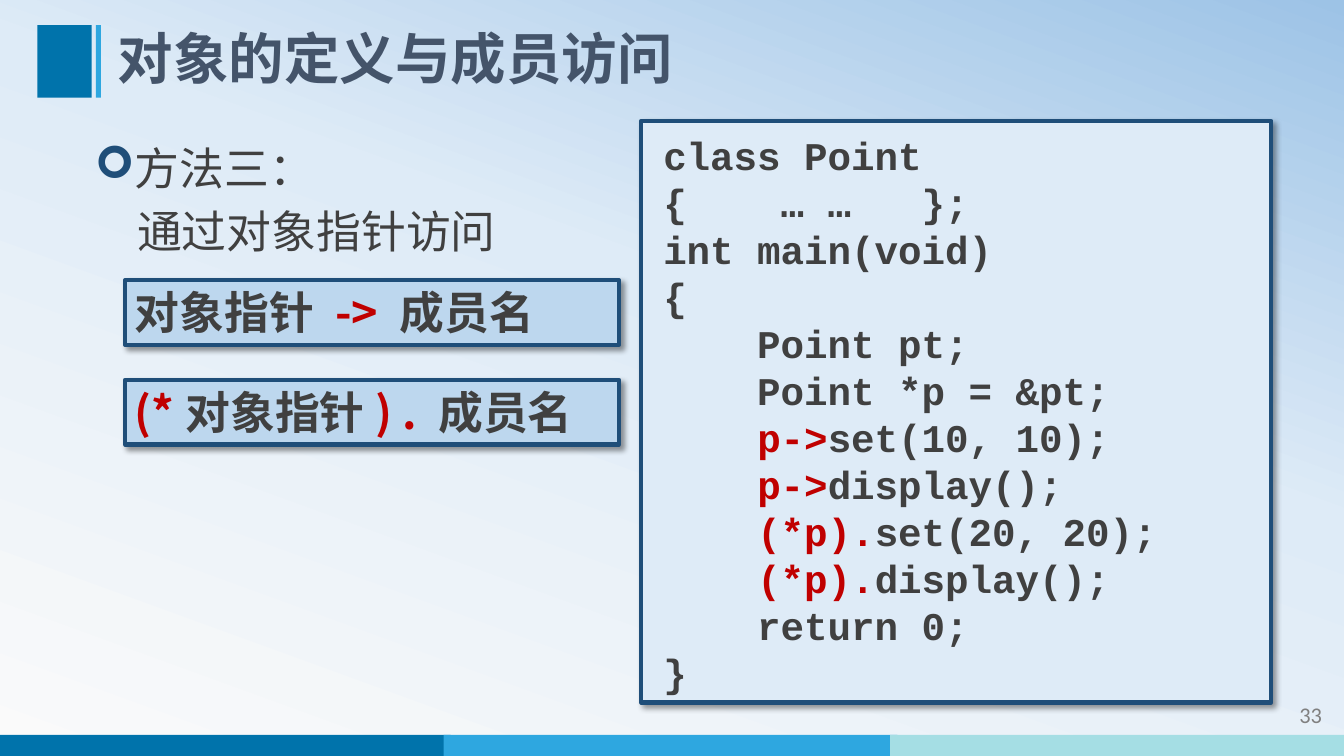
from dataclasses import dataclass

from lxml.etree import SubElement as Sub
from pptx import Presentation
from pptx.dml.color import RGBColor as Rgb
from pptx.enum.shapes import MSO_SHAPE as Kind
from pptx.enum.text import MSO_ANCHOR as Anchor, MSO_AUTO_SIZE as Fit, PP_ALIGN as Align
from pptx.oxml.ns import qn
from pptx.util import Emu, Pt

PX = 9144
HAN, MONO, SANS = "Noto Sans CJK SC", "Courier New", "Calibri"
HEX = {
    "blue": "0073AB", "sky": "2EA7E0", "aqua": "A5DEE4", "title": "44546A",
    "text": "404040", "red": "C00000", "navy": "1F4E79", "pale": "DEEBF7",
    "light": "BDD7EE", "gray": "808080", "white": "FAFAFA", "mist": "9DC3E6",
    "black": "000000",
}
Run = tuple[str, str]


@dataclass
class Bar:
    x: int
    y: int
    w: int
    h: int
    fill: str


@dataclass
class Panel(Bar):
    lines: list[list[Run]]
    font: str
    size: int
    pitch: float | None = None
    inset: int = 5
    left: int = 0
    hang: int = 0


def px(n: int) -> Emu:
    return Emu(n * PX)


def rgb(name: str) -> Rgb:
    return Rgb.from_string(HEX[name])


def place(shape, x: int, y: int, w: int, h: int) -> None:
    shape.left, shape.top, shape.width, shape.height = map(px, (x, y, w, h))


def write(para, runs: list[Run], name: str, size: float, bold: bool = False) -> None:
    font = para.font
    font.name, font.size, font.bold = name, Pt(size), bold
    Sub(para._p.pPr.find(qn("a:defRPr")), qn("a:ea"), typeface=name)
    tones = {tone for _, tone in runs}
    if len(tones) == 1:
        font.color.rgb = rgb(runs[0][1])
    for text, tone in runs:
        run = para.add_run()
        run.text = text
        if len(tones) > 1:
            run.font.color.rgb = rgb(tone)


def indent(para, left: int, hang: int) -> None:
    props = para._p.get_or_add_pPr()
    props.set("marL", str(px(left)))
    props.set("indent", str(px(hang)))


def draw(slide, bar: Bar):
    shape = slide.shapes.add_shape(Kind.RECTANGLE, *map(px, (bar.x, bar.y, bar.w, bar.h)))
    shape.shadow.inherit = False
    shape.fill.solid()
    shape.fill.fore_color.rgb = rgb(bar.fill)
    shape.line.fill.background()
    return shape


def panel(slide, box: Panel) -> None:
    shape = draw(slide, box)
    shape.line.color.rgb = rgb("navy")
    shape.line.width = Pt(3)
    glow = Sub(shape._element.spPr.find(qn("a:effectLst")), qn("a:outerShdw"),
               blurRad=str(Pt(4)), dist=str(Pt(3)), dir="2700000",
               algn="tl", rotWithShape="0")
    tint = Sub(glow, qn("a:srgbClr"), val=HEX["black"])
    Sub(tint, qn("a:alpha"), val="40000")
    frame = shape.text_frame
    frame.word_wrap = True
    frame.vertical_anchor = Anchor.TOP
    frame.margin_top = px(box.inset)
    for i, runs in enumerate(box.lines):
        para = frame.add_paragraph() if i else frame.paragraphs[0]
        para.alignment = Align.LEFT
        if box.pitch:
            para.line_spacing = Pt(box.pitch)
        indent(para, box.left, box.hang)
        write(para, runs, box.font, box.size, True)


def backdrop(slide) -> None:
    fill = slide.background.fill
    fill.gradient()
    fill.gradient_angle = 70
    stops = slide._element.find(".//" + qn("a:gsLst"))
    for stop in list(stops):
        stops.remove(stop)
    for pos, name in ((0, "white"), (58, "pale"), (100, "mist")):
        stop = Sub(stops, qn("a:gs"), pos=str(pos * 1000))
        Sub(stop, qn("a:srgbClr"), val=HEX[name])


def heading(slide) -> None:
    title = slide.shapes.title
    place(title, 107, 25, 1086, 72)
    frame = title.text_frame
    frame.auto_size = Fit.NONE
    frame.vertical_anchor = Anchor.MIDDLE
    para = frame.paragraphs[0]
    para.alignment = Align.LEFT
    para.line_spacing = 0.9
    write(para, [("对象的定义与成员访问", "title")], HAN, 39.6, True)


def method(slide) -> None:
    body = slide.placeholders[1]
    place(body, 84, 119, 509, 148)
    frame = body.text_frame
    frame.auto_size = Fit.NONE
    head, item = frame.paragraphs[0], frame.add_paragraph()
    head.line_spacing = 1.3
    head.space_before, item.space_before = Pt(18), Pt(6)
    item.level = 1
    indent(head, 25, -25)
    indent(item, 42, 0)
    props = head._p.pPr
    Sub(Sub(props, qn("a:buClr")), qn("a:srgbClr"), val=HEX["navy"])
    Sub(props, qn("a:buFont"), typeface="Wingdings")
    Sub(props, qn("a:buChar"), char="➢")
    Sub(item._p.pPr, qn("a:buNone"))
    write(head, [("方法三：", "text")], HAN, 32)
    write(item, [("通过对象指针访问", "text")], HAN, 32)


def number(slide) -> None:
    box = slide.shapes.add_textbox(*map(px, (1162, 691, 159, 40)))
    box.text_frame.word_wrap = True
    para = box.text_frame.paragraphs[0]
    para.alignment = Align.RIGHT
    write(para, [("33", "gray")], SANS, 16)


def main() -> None:
    """Build the slide on access to members through an object pointer."""
    deck = Presentation()
    deck.slide_width, deck.slide_height = px(1333), px(750)
    slide = deck.slides.add_slide(deck.slide_layouts[1])
    backdrop(slide)
    strip = [Bar(x, 729, w, 21, fill) for x, w, fill in
             ((0, 447, "blue"), (440, 450, "sky"), (883, 450, "aqua"))]
    for bar in strip + [Bar(37, 25, 54, 72, "blue"), Bar(95, 25, 5, 72, "sky")]:
        draw(slide, bar)
    heading(slide)
    method(slide)
    number(slide)
    arrow = [("对象指针 ", "text"), ("-> ", "red"), ("成员名", "text")]
    star = [("(*", "red"), ("对象指针", "text"), (") . ", "red"), ("成员名", "text")]
    for i, runs in enumerate((arrow, star)):
        panel(slide, Panel(124, 278 + 99 * i, 490, 64, "light", [runs], HAN, 32))
    calls = [[("    ", "text"), (ref, "red"), (call, "text")]
             for ref in ("p->", "(*p).")
             for call in (f"set({10 if ref == 'p->' else 20}, "
                          f"{10 if ref == 'p->' else 20});", "display();")]
    start = ["class Point", "{    … …   };", "int main(void)", "{",
             "    Point pt;", "    Point *p = &pt;"]
    code = [[(t, "text")] for t in start] + calls
    code += [[(t, "text")] for t in ("    return 0;", "}")]
    panel(slide, Panel(636, 120, 625, 577, "pale", code, MONO, 28,
                       pitch=33.6, inset=10, left=40, hang=-28))
    deck.save("out.pptx")


if __name__ == "__main__":
    main()
